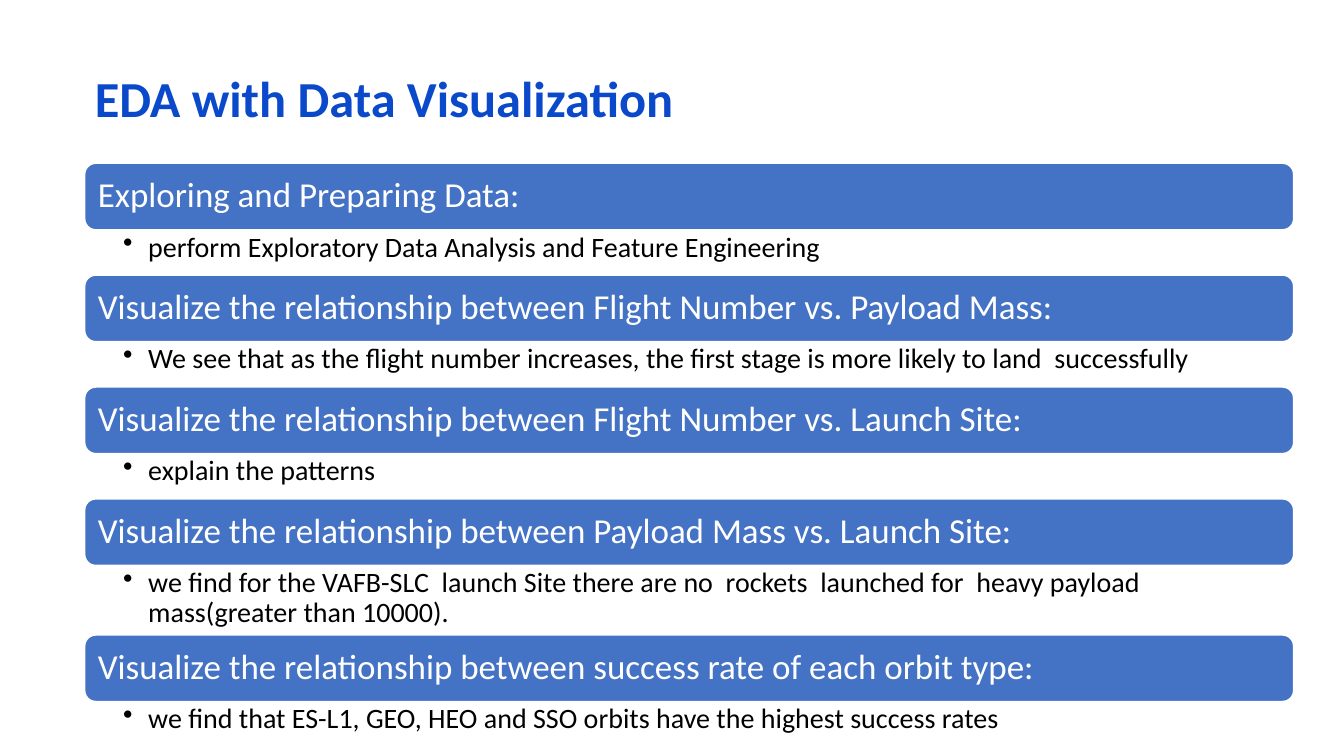
from pptx import Presentation
from pptx.dml.color import RGBColor
from pptx.enum.shapes import MSO_SHAPE
from pptx.enum.text import MSO_ANCHOR, PP_ALIGN
from pptx.oxml.ns import qn
from pptx.util import Inches, Pt
from lxml import etree

ROUNDED = MSO_SHAPE.ROUNDED_RECTANGLE
MIDDLE, TOP = MSO_ANCHOR.MIDDLE, MSO_ANCHOR.TOP
LEFT = PP_ALIGN.LEFT

TITLE_BLUE = RGBColor(0x0B, 0x49, 0xCB)
BAR_BLUE = RGBColor(0x44, 0x72, 0xC4)
WHITE = RGBColor(0xFF, 0xFF, 0xFF)
BLACK = RGBColor(0x00, 0x00, 0x00)

LEFT_EDGE, LIST_WIDTH = 0.84, 11.99
LIST_TOP, BAR_HEIGHT = 1.62, 0.66
ONE_LINE, TWO_LINES = 0.45, 0.69

# Heading, finding, height of the finding
STEPS = [
    ("Exploring and Preparing Data:",
     "perform Exploratory Data Analysis and Feature Engineering", ONE_LINE),
    ("Visualize the relationship between Flight Number vs. Payload Mass:",
     "We see that as the flight number increases, the first stage is more "
     "likely to land  successfully", ONE_LINE),
    ("Visualize the relationship between Flight Number vs. Launch Site:",
     "explain the patterns", ONE_LINE),
    ("Visualize the relationship between Payload Mass vs. Launch Site:",
     "we find for the VAFB-SLC  launch Site there are no  rockets  launched for  "
     "heavy payload mass(greater than 10000).", TWO_LINES),
    ("Visualize the relationship between success rate of each orbit type:",
     "we find that ES-L1, GEO, HEO and SSO orbits have the highest success rates",
     ONE_LINE),
]


def write_text(shape, text, size, color, anchor, margins, bold=False, bullet=False):
    frame = shape.text_frame
    frame.word_wrap = True
    frame.vertical_anchor = anchor
    (frame.margin_left, frame.margin_top,
     frame.margin_right, frame.margin_bottom) = [Inches(margin) for margin in margins]
    paragraph = frame.paragraphs[0]
    paragraph.text = text
    paragraph.alignment = LEFT
    paragraph.line_spacing = 0.9
    paragraph.space_before = Pt(0)
    if bullet:
        properties = paragraph._p.get_or_add_pPr()
        properties.set("marL", str(Inches(0.25)))
        properties.set("indent", str(Inches(-0.25)))
        etree.SubElement(properties, qn("a:buChar")).set("char", "•")
    font = paragraph.font
    font.name = "Calibri"
    font.size = Pt(size)
    font.bold = bold
    font.color.rgb = color


presentation = Presentation()
presentation.slide_width = Inches(13.33)
presentation.slide_height = Inches(7.5)
slide = presentation.slides.add_slide(presentation.slide_layouts[5])

# Title
title = slide.shapes.title
title.left, title.top = Inches(LEFT_EDGE), Inches(0.7)
title.width, title.height = Inches(11.5), Inches(0.6)
write_text(title, "EDA with Data Visualization", 36, TITLE_BLUE, MIDDLE,
           (0.1, 0.05, 0.1, 0.05), bold=True)

# Heading bars, each followed by its finding
top = LIST_TOP
for heading, finding, finding_height in STEPS:
    bar = slide.shapes.add_shape(ROUNDED, Inches(LEFT_EDGE), Inches(top),
                                 Inches(LIST_WIDTH), Inches(BAR_HEIGHT))
    bar.shadow.inherit = False
    bar.fill.solid()
    bar.fill.fore_color.rgb = BAR_BLUE
    bar.line.color.rgb = WHITE
    bar.line.width = Pt(1)
    write_text(bar, heading, 25, WHITE, MIDDLE, (0.1, 0.1, 0.1, 0.1))
    top += BAR_HEIGHT

    box = slide.shapes.add_textbox(Inches(LEFT_EDGE), Inches(top),
                                   Inches(LIST_WIDTH), Inches(finding_height))
    write_text(box, finding, 20, BLACK, TOP, (0.38, 0.03, 0.19, 0.03), bullet=True)
    top += finding_height

presentation.save("out.pptx")
